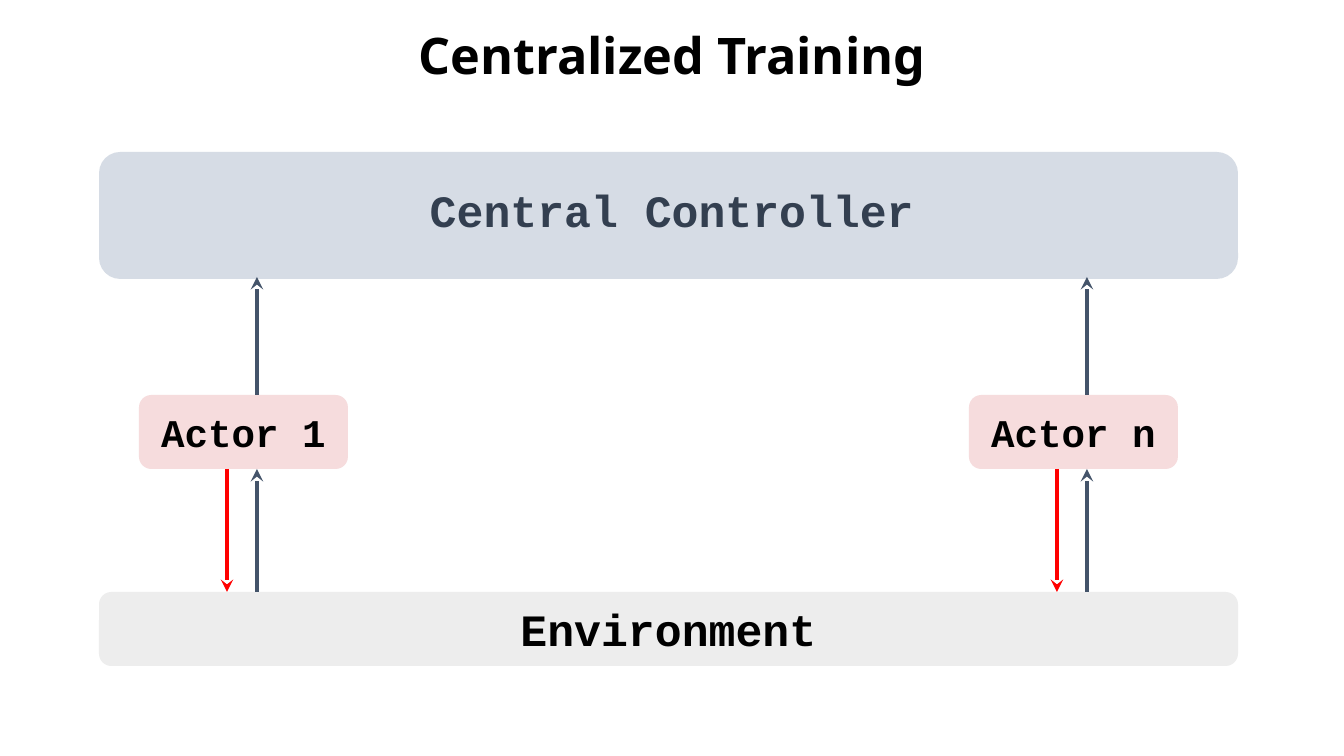
from lxml.etree import SubElement
from pptx import Presentation
from pptx.dml.color import RGBColor
from pptx.enum.shapes import MSO_CONNECTOR as LineKind, MSO_SHAPE as Preset
from pptx.enum.text import MSO_ANCHOR as Anchor, MSO_AUTO_SIZE as AutoSize, PP_ALIGN as Align
from pptx.oxml.ns import qn
from pptx.util import Pt

# Content
TITLE = "Centralized Training"
CONTROLLER = "Central Controller"
ENVIRONMENT = "Environment"
ACTORS = [("Actor 1", 139), ("Actor n", 969)]  # label, left edge

# Colours and fonts
BLACK = RGBColor(0x00, 0x00, 0x00)
RED = RGBColor(0xFF, 0x00, 0x00)
SLATE = RGBColor(0x44, 0x54, 0x6A)
DARK_SLATE = RGBColor(0x33, 0x3F, 0x50)
PALE_BLUE = RGBColor(0xD6, 0xDC, 0xE5)
PALE_GREY = RGBColor(0xED, 0xED, 0xED)
PALE_PINK = RGBColor(0xF6, 0xDC, 0xDD)
HEADING_FONT, LABEL_FONT = "Noto Sans", "Courier New"

# Layout in px
SLIDE_W, SLIDE_H = 1344, 756
BAR_LEFT, BAR_W = 99, 1139
CONTROLLER_TOP, CONTROLLER_H = 152, 127
ACTOR_TOP, ACTOR_W, ACTOR_H = 395, 209, 74
ENVIRONMENT_TOP, ENVIRONMENT_H = 592, 74
ACTION_DX, OBSERVATION_DX = 88, 118  # arrow offsets from an actor's left edge


def px(length):
    return round(length * 914400 / 100.8)


def write(shape, text, size, color=BLACK, font=LABEL_FONT, spacing=None, wrap=True, inset=None):
    frame = shape.text_frame
    frame.auto_size = AutoSize.NONE
    frame.word_wrap = wrap
    frame.vertical_anchor = Anchor.MIDDLE
    if inset is not None:
        frame.margin_left = frame.margin_right = frame.margin_top = frame.margin_bottom = inset
    paragraph = frame.paragraphs[0]
    paragraph.alignment = Align.CENTER
    if spacing:
        paragraph.line_spacing = spacing
    run = paragraph.add_run()
    run.text = text
    run.font.name, run.font.size, run.font.bold = font, Pt(size), True
    run.font.color.rgb = color


def add_box(left, top, width, height, fill):
    box = slide.shapes.add_shape(Preset.ROUNDED_RECTANGLE, *map(px, (left, top, width, height)))
    box.shadow.inherit = False
    box.fill.solid()
    box.fill.fore_color.rgb = fill
    box.line.fill.background()
    return box


def add_arrow(x, start, end, color):
    arrow = slide.shapes.add_connector(LineKind.STRAIGHT, px(x), px(start), px(x), px(end))
    arrow.line.color.rgb = color
    arrow.line.width = Pt(3)
    SubElement(arrow.line._get_or_add_ln(), qn("a:tailEnd"), type="stealth")
    SubElement(arrow._element.spPr, qn("a:effectLst"))


prs = Presentation()
prs.slide_width, prs.slide_height = px(SLIDE_W), px(SLIDE_H)
slide = prs.slides.add_slide(prs.slide_layouts[5])

# Title
title = slide.shapes.title
title.left, title.top, title.width, title.height = map(px, (0, 1, SLIDE_W, 114))
write(title, TITLE, 36, font=HEADING_FONT, spacing=0.9)

# Environment bar
environment = add_box(BAR_LEFT, ENVIRONMENT_TOP, BAR_W, ENVIRONMENT_H, PALE_GREY)
write(environment, ENVIRONMENT, 32)

# Central controller with its label
add_box(BAR_LEFT, CONTROLLER_TOP, BAR_W, CONTROLLER_H, PALE_BLUE)
controller_label = slide.shapes.add_textbox(*map(px, (427, 183, 490, 54)))
write(controller_label, CONTROLLER, 32, color=DARK_SLATE, wrap=False, inset=0)

# Actors, each with its action and observation arrows
actor_bottom = ACTOR_TOP + ACTOR_H
for name, left in ACTORS:
    actor = add_box(left, ACTOR_TOP, ACTOR_W, ACTOR_H, PALE_PINK)
    write(actor, name, 28)
    add_arrow(left + ACTION_DX, actor_bottom, ENVIRONMENT_TOP, RED)
    add_arrow(left + OBSERVATION_DX, ENVIRONMENT_TOP, actor_bottom, SLATE)
    add_arrow(left + OBSERVATION_DX, ACTOR_TOP, CONTROLLER_TOP + CONTROLLER_H - 2, SLATE)

prs.save("out.pptx")
